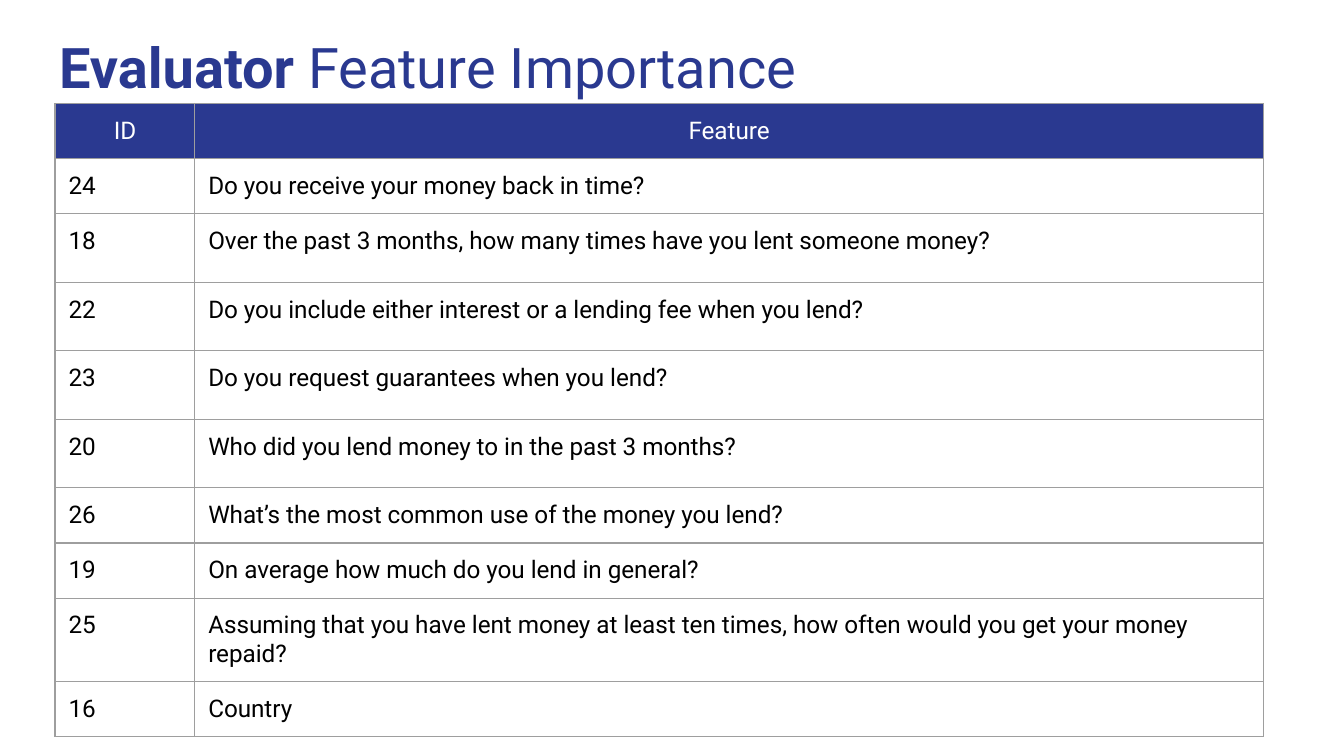
import dataclasses

import pptx
import pptx.dml.color
import pptx.enum.text
import pptx.oxml
import pptx.oxml.ns
import pptx.util

Inches = pptx.util.Inches
Pt = pptx.util.Pt
Align = pptx.enum.text.PP_ALIGN

FONT = "Roboto"
NAVY, WHITE, BLACK, GREY = "2A3990", "FFFFFF", "000000", "9E9E9E"
INSET = Inches(0.1)


@dataclasses.dataclass
class Question:
    id: str
    feature: str
    height: float


@dataclasses.dataclass
class CellStyle:
    color: str
    fill: str | None
    align: Align


HEADER = CellStyle(WHITE, NAVY, Align.CENTER)
BODY = CellStyle(BLACK, None, Align.LEFT)

ROWS = [
    Question("ID", "Feature", 0.32),
    Question("24", "Do you receive your money back in time?", 0.34),
    Question("18", "Over the past 3 months, how many times have you lent someone money?", 0.51),
    Question("22", "Do you include either interest or a lending fee when you lend?", 0.51),
    Question("23", "Do you request guarantees when you lend?", 0.51),
    Question("20", "Who did you lend money to in the past 3 months?", 0.51),
    Question("26", "What’s the most common use of the money you lend?", 0.4),
    Question("19", "On average how much do you lend in general?", 0.4),
    Question("25", "Assuming that you have lent money at least ten times, "
             "how often would you get your money repaid?", 0.44),
    Question("16", "Country", 0.4),
]
COLUMN_WIDTHS = (1.04, 7.95)


def rgb(color: str) -> pptx.dml.color.RGBColor:
    return pptx.dml.color.RGBColor.from_string(color)


def format_run(run, size: float, color: str, bold: bool = False) -> None:
    run.font.name = FONT
    run.font.size = Pt(size)
    run.font.bold = bold
    run.font.color.rgb = rgb(color)


def set_insets(target) -> None:
    target.margin_left = target.margin_right = INSET
    target.margin_top = target.margin_bottom = INSET


def add_borders(cell, color: str, width: float) -> None:
    """Insert the four edges before the fill, as the schema orders them."""
    properties = cell._tc.get_or_add_tcPr()
    for position, edge in enumerate(("lnL", "lnR", "lnT", "lnB")):
        properties.insert(position, pptx.oxml.parse_xml(
            f'<a:{edge} {pptx.oxml.ns.nsdecls("a")} w="{Pt(width)}">'
            f'<a:solidFill><a:srgbClr val="{color}"/></a:solidFill></a:{edge}>'))


def fill_cell(cell, text: str, style: CellStyle) -> None:
    cell.text_frame.text = text
    set_insets(cell)
    paragraph = cell.text_frame.paragraphs[0]
    paragraph.alignment = style.align
    format_run(paragraph.runs[0], 13, style.color)
    if style.fill:
        cell.fill.solid()
        cell.fill.fore_color.rgb = rgb(style.fill)
    else:
        cell.fill.background()
    add_borders(cell, GREY, 0.75)


def add_title(slide) -> None:
    title = slide.shapes.title
    title.left, title.top = Inches(0.34), Inches(0.14)
    title.width, title.height = Inches(9.32), Inches(0.66)
    frame = title.text_frame
    set_insets(frame)
    frame.word_wrap = True
    frame.auto_size = pptx.enum.text.MSO_AUTO_SIZE.NONE
    frame.vertical_anchor = pptx.enum.text.MSO_ANCHOR.TOP
    paragraph = frame.paragraphs[0]
    paragraph.alignment = Align.LEFT
    for text, bold in (("Evaluator ", True), ("Feature Importance", False)):
        run = paragraph.add_run()
        run.text = text
        format_run(run, 30, NAVY, bold)


def add_feature_table(slide) -> None:
    table = slide.shapes.add_table(
        len(ROWS), len(COLUMN_WIDTHS), Inches(0.41), Inches(0.77),
        Inches(sum(COLUMN_WIDTHS)), Inches(sum(row.height for row in ROWS))).table
    table.horz_banding = False
    for column, width in zip(table.columns, COLUMN_WIDTHS):
        column.width = Inches(width)
    for index, question in enumerate(ROWS):
        table.rows[index].height = Inches(question.height)
        style = BODY if index else HEADER
        for column, text in enumerate((question.id, question.feature)):
            fill_cell(table.cell(index, column), text, style)


def main() -> None:
    deck = pptx.Presentation()
    # Widescreen page, 16 to 9
    deck.slide_width = Inches(10)
    deck.slide_height = deck.slide_width * 9 // 16
    slide = deck.slides.add_slide(deck.slide_layouts[5])  # title only
    slide.background.fill.solid()
    slide.background.fill.fore_color.rgb = rgb(WHITE)
    add_title(slide)
    add_feature_table(slide)
    deck.save("out.pptx")


if __name__ == "__main__":
    main()
